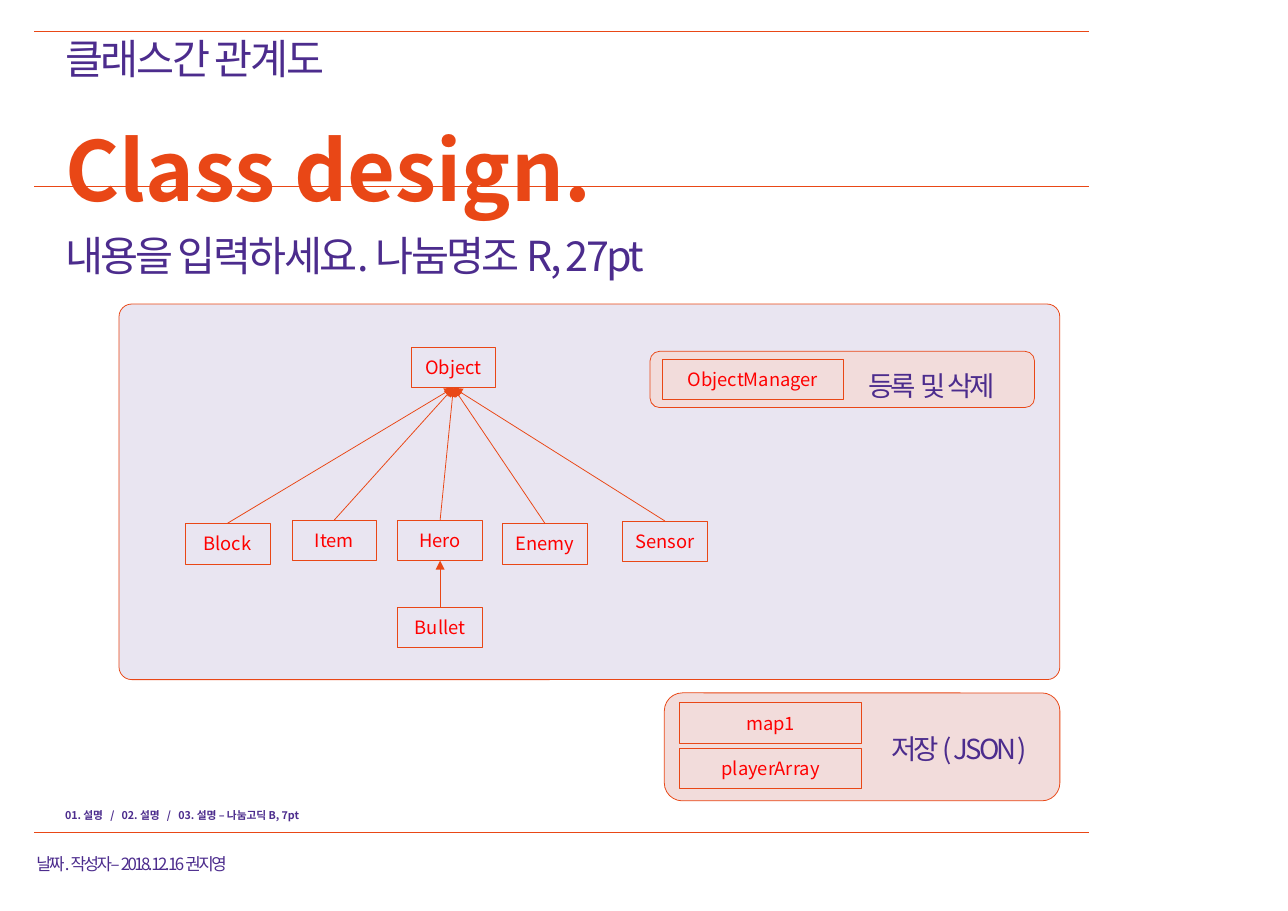
from dataclasses import dataclass

from lxml import etree
from pptx import Presentation, util as u
from pptx.dml import color
from pptx.enum import shapes, text
from pptx.oxml import ns

WIDTH, HEIGHT = u.Inches(11.69), u.Inches(8.27)
FONT = "Noto Sans CJK KR"
ORANGE, PURPLE, RED, PINK = "E94716", "4C2C8D", "FF0000", "F2DCDB"
NODE_WIDTH, STORE_WIDTH, NODE_HEIGHT = 6.59, 14.11, 4.47
TEXT_LEFT, TEXT_WIDTH = 5.05, 79.47
RULE_LEFT, RULE_RIGHT = 2.65, 84.52
RULE_ROWS = (3.39, 20.44, 91.41)


@dataclass(frozen=True)
class Area:
    """A rectangle in percent of the slide's width and height."""
    left: float
    top: float
    width: float
    height: float

    def lengths(self) -> tuple:
        """Return left, top, width and height as lengths."""
        return (across(self.left), down(self.top),
                across(self.width), down(self.height))


@dataclass(frozen=True)
class Panel:
    """A rounded background panel."""
    area: Area
    fill: str
    corner: float = 0.1667
    opacity: int = 100


@dataclass(frozen=True)
class Node:
    """A class box, with the name of its parent if it has one."""
    name: str
    left: float
    top: float
    width: float = NODE_WIDTH
    parent: str = ""


@dataclass(frozen=True)
class Label:
    """A line of free text; leading is points, or a share if below 1."""
    words: str
    area: Area
    size: float
    leading: float
    tracking: float = 0
    colour: str = PURPLE
    bold: bool = False


PANELS = (
    Panel(Area(9.24, 33.37, 73.05, 41.23), PURPLE, 0.034, 12),
    Panel(Area(50.47, 38.57, 29.85, 6.17), PINK),
    Panel(Area(51.58, 76.06, 30.71, 11.85), PINK),
)
NODES = (
    Node("Object", 31.91, 38.09),
    Node("Block", 14.37, 57.44, parent="Object"),
    Node("Item", 22.67, 57.07, parent="Object"),
    Node("Hero", 30.88, 57.07, parent="Object"),
    Node("Enemy", 39.01, 57.44, parent="Object"),
    Node("Sensor", 48.33, 57.19, parent="Object"),
    Node("Bullet", 30.88, 66.63, parent="Hero"),
    Node("ObjectManager", 51.41, 39.42, STORE_WIDTH),
    Node("map1", 52.78, 77.15, STORE_WIDTH),
    Node("playerArray", 52.78, 82.1, STORE_WIDTH),
)
LABELS = (
    Label("클래스간 관계도", Area(TEXT_LEFT, 4.23, TEXT_WIDTH, 8.22), 27, 0.9, -1.5),
    Label("Class design.", Area(TEXT_LEFT, 14.27, TEXT_WIDTH, 8.22), 54, 0.9,
          colour=ORANGE, bold=True),
    Label("내용을 입력하세요. 나눔명조 R, 27pt",
          Area(TEXT_LEFT, 25.88, TEXT_WIDTH, 10.16), 27, 29, -1.7),
    Label("01. 설명   /   02. 설명   /   03. 설명 – 나눔고딕 B, 7pt",
          Area(TEXT_LEFT, 88.63, TEXT_WIDTH, 2.18), 7, 9, bold=True),
    Label("등록  및 삭제", Area(67.41, 39.3, 18.99, 5.8), 18, 29, -1.7),
    Label("저장 ( JSON )", Area(69.2, 79.08, 18.99, 5.8), 18, 29, -1.7),
    Label("날짜. 작성자 – 2018. 12. 16 권지영",
          Area(2.82, 90.93, 60.65, 7.26), 11, 29.5, -1.7),
)


def across(share: float) -> int:
    """Turn a percentage of the slide's width into a length."""
    return u.Emu(round(WIDTH * share / 100))


def down(share: float) -> int:
    """Turn a percentage of the slide's height into a length."""
    return u.Emu(round(HEIGHT * share / 100))


def paint(target, colour: str) -> None:
    """Give a fill, line or font colour from a hex string."""
    target.rgb = color.RGBColor.from_string(colour)


def apply(target, values: dict) -> None:
    """Set each named attribute on the target."""
    for name, value in values.items():
        setattr(target, name, value)


def child(parent, tag: str, **values: str):
    """Append an XML element with the given attributes."""
    return etree.SubElement(parent, ns.qn(tag), values)


def write(para, words: str, size: float, colour: str,
          bold: bool = False, tracking: float = 0) -> None:
    """Add one formatted run to a paragraph."""
    span = para.add_run()
    span.text = words
    apply(span.font, {"name": FONT, "size": u.Pt(size), "bold": bold})
    paint(span.font.color, colour)
    properties = span._r.get_or_add_rPr()
    child(properties, "a:ea", typeface=FONT)
    if tracking:
        properties.set("spc", str(round(tracking * 100)))


def outline(shape, width: float) -> None:
    """Draw the orange outline of a shape or connector."""
    paint(shape.line.color, ORANGE)
    shape.line.width = u.Pt(width)


def draw_line(page, start: tuple, end: tuple, width: float):
    """Draw a straight orange line without a shadow."""
    line = page.shapes.add_connector(shapes.MSO_CONNECTOR.STRAIGHT, *start, *end)
    outline(line, width)
    child(line._element.spPr, "a:effectLst")
    return line


def draw_panel(page, panel: Panel) -> None:
    """Draw a rounded panel."""
    box = page.shapes.add_shape(
        shapes.MSO_SHAPE.ROUNDED_RECTANGLE, *panel.area.lengths())
    box.shadow.inherit = False
    box.adjustments[0] = panel.corner
    box.fill.solid()
    paint(box.fill.fore_color, panel.fill)
    if panel.opacity < 100:
        tint = box._element.spPr.find(".//" + ns.qn("a:srgbClr"))
        child(tint, "a:alpha", val=str(panel.opacity * 1000))
    outline(box, 0.5)


def draw_node(page, node: Node):
    """Draw a class box with its centred name."""
    area = Area(node.left, node.top, node.width, NODE_HEIGHT)
    box = page.shapes.add_shape(shapes.MSO_SHAPE.RECTANGLE, *area.lengths())
    box.shadow.inherit = False
    box.fill.background()
    outline(box, 0.5)
    apply(box.text_frame, {"vertical_anchor": text.MSO_ANCHOR.MIDDLE})
    para = box.text_frame.paragraphs[0]
    para.alignment = text.PP_ALIGN.CENTER
    write(para, node.name, 12, RED)
    return box


def draw_arrow(page, lower, upper) -> None:
    """Join the top of one box to the bottom of another with an arrow."""
    arrow = draw_line(page, (0, 0), (0, 0), 0.5)
    arrow.begin_connect(lower, 0)
    arrow.end_connect(upper, 2)
    child(arrow.line._get_or_add_ln(), "a:tailEnd", type="triangle")


def draw_label(page, label: Label) -> None:
    """Draw a text box without margins."""
    frame = page.shapes.add_textbox(*label.area.lengths()).text_frame
    margins = dict.fromkeys(
        ("margin_left", "margin_top", "margin_right", "margin_bottom"), 0)
    apply(frame, {"word_wrap": True, **margins})
    para = frame.paragraphs[0]
    fixed = label.leading > 1
    apply(para, {"line_spacing": u.Pt(label.leading) if fixed else label.leading,
                 "space_before": u.Pt(label.size * 0.08 if fixed else 0)})
    write(para, label.words, label.size, label.colour, label.bold, label.tracking)


def main() -> None:
    """Build and save the class design slide."""
    deck = Presentation()
    apply(deck, {"slide_width": WIDTH, "slide_height": HEIGHT})
    page = deck.slides.add_slide(deck.slide_layouts[6])
    for row in RULE_ROWS:
        draw_line(page, (across(RULE_LEFT), down(row)),
                  (across(RULE_RIGHT), down(row)), 0.3)
    for panel in PANELS:
        draw_panel(page, panel)
    boxes = {node.name: draw_node(page, node) for node in NODES}
    for node in NODES:
        if node.parent:
            draw_arrow(page, boxes[node.name], boxes[node.parent])
    for label in LABELS:
        draw_label(page, label)
    deck.save("out.pptx")


if __name__ == "__main__":
    main()
